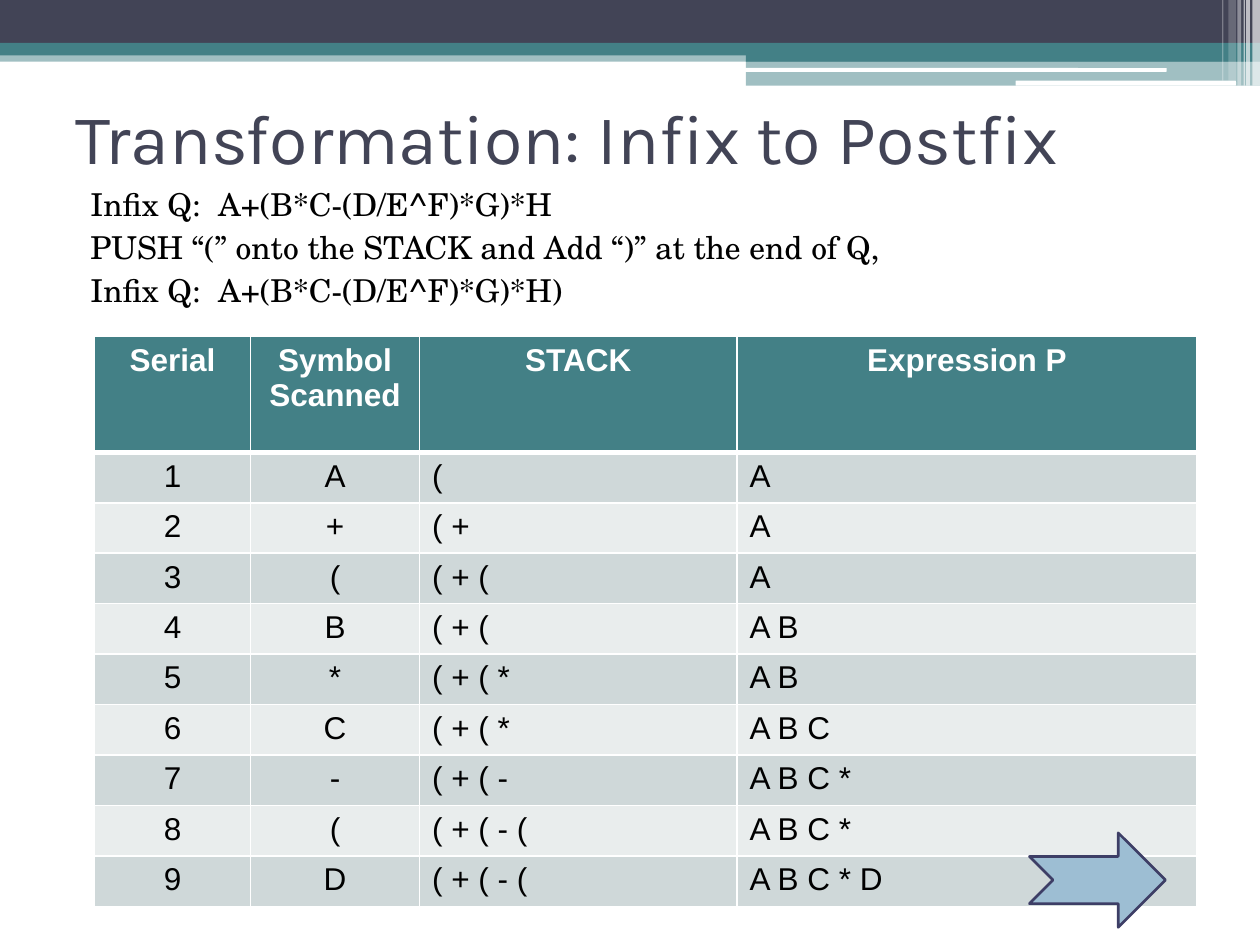
from dataclasses import dataclass

from lxml.etree import SubElement
from pptx import Presentation
from pptx.dml.color import RGBColor
from pptx.enum.shapes import MSO_SHAPE
from pptx.enum.text import MSO_ANCHOR, PP_ALIGN
from pptx.oxml.ns import qn
from pptx.util import Inches, Pt


@dataclass(frozen=True)
class Theme:
    """Colours, fonts and type sizes of the slide."""
    navy: str = "424456"
    teal: str = "438086"
    white: str = "FFFFFF"
    black: str = "000000"
    odd_row: str = "CFD8D9"
    even_row: str = "E9EDED"
    arrow_fill: str = "9DBED3"
    arrow_line: str = "3D3E66"
    title_font: str = "Karla"
    body_font: str = "TeX Gyre Schola"
    table_font: str = "Arial"
    title_size: int = 40
    text_size: int = 18


@dataclass(frozen=True)
class Box:
    """A region in inches."""
    left: float
    top: float
    width: float
    height: float

    def lengths(self):
        """Return the four lengths that python-pptx expects."""
        return [Inches(v) for v in (self.left, self.top, self.width, self.height)]

    def inner(self, left, top, width, height):
        """Return a box placed relative to this one."""
        return Box(self.left + left, self.top + top, width, height)


THEME = Theme()
BODY_LINES = [
    "Infix Q:  A+(B*C-(D/E^F)*G)*H",
    "PUSH “(” onto the STACK and Add “)” at the end of Q,",
    "Infix Q:  A+(B*C-(D/E^F)*G)*H)",
]
HEADINGS = ["Serial", "Symbol Scanned", "STACK", "Expression P"]
STEPS = [
    ("A", "(", "A"),
    ("+", "( +", "A"),
    ("(", "( + (", "A"),
    ("B", "( + (", "A B"),
    ("*", "( + ( *", "A B"),
    ("C", "( + ( *", "A B C"),
    ("-", "( + ( -", "A B C *"),
    ("(", "( + ( - (", "A B C *"),
    ("D", "( + ( - (", "A B C * D"),
]


def add_run(paragraph, text, font, size, color, bold=False):
    """Add one formatted run to a paragraph."""
    run = paragraph.add_run()
    run.text = text
    run.font.name = font
    run.font.size = Pt(size)
    run.font.bold = bold
    run.font.color.rgb = RGBColor.from_string(color)


def add_panel(slide, kind, box, color, opacity=100):
    """Add a borderless filled shape, see-through below 100 percent."""
    panel = slide.shapes.add_shape(kind, *box.lengths())
    panel.shadow.inherit = False
    panel.line.fill.background()
    panel.fill.solid()
    panel.fill.fore_color.rgb = RGBColor.from_string(color)
    if opacity < 100:
        swatch = panel.fill._xPr.find(qn("a:solidFill"))[0]
        SubElement(swatch, qn("a:alpha"), val=str(opacity * 1000))
    return panel


def add_banner(slide, box):
    """Draw the layered bands and stripes along the top edge."""
    step = 5.92
    bands = [
        (0, 0.4, box.width, 0.09, THEME.teal, 50),
        (0, 0, box.width, 0.34, THEME.navy, 100),
        (0, 0.34, box.width, 0.1, THEME.teal, 100),
        (step, 0.39, box.width - step, 0.1, THEME.teal, 100),
        (step, 0.48, box.width - step, 0.2, THEME.teal, 50),
    ]
    for *place, color, opacity in bands:
        add_panel(slide, MSO_SHAPE.RECTANGLE, box.inner(*place), color, opacity)
    for place in [(5.91, 0.54, 3.35, 0.03), (8.06, 0.64, 1.75, 0.04)]:
        rule = add_panel(slide, MSO_SHAPE.ROUNDED_RECTANGLE, box.inner(*place), THEME.white)
        rule.adjustments[0] = 0.17
    stripes = [
        (9.94, 0.06, 0.68, 65), (9.89, 0.03, 0.68, 65), (9.87, 0.01, 0.68, 60),
        (9.82, 0.03, 0.68, 40), (9.75, 0.06, 0.64, 20), (9.7, 0.01, 0.64, 30),
    ]
    for left, width, height, opacity in stripes:
        add_panel(slide, MSO_SHAPE.RECTANGLE, box.inner(left, 0, width, height),
                  THEME.white, opacity)


def add_title(slide, box):
    """Place the slide title."""
    frame = slide.shapes.add_textbox(*box.lengths()).text_frame
    frame.word_wrap = True
    frame.vertical_anchor = MSO_ANCHOR.MIDDLE
    add_run(frame.paragraphs[0], "Transformation: Infix to Postfix",
            THEME.title_font, THEME.title_size, THEME.navy)


def add_body(slide, box):
    """Place the expression lines with a hanging indent."""
    frame = slide.shapes.add_textbox(*box.lengths()).text_frame
    frame.word_wrap = True
    for number, line in enumerate(BODY_LINES):
        paragraph = frame.add_paragraph() if number else frame.paragraphs[0]
        paragraph.alignment = PP_ALIGN.JUSTIFY
        paragraph.space_before = Pt(3)
        properties = paragraph._p.get_or_add_pPr()
        properties.set("marL", str(Inches(0.4)))
        properties.set("indent", str(Inches(-0.28)))
        add_run(paragraph, line, THEME.body_font, THEME.text_size, THEME.black)


def set_borders(cell, widths):
    """Give a cell white borders, in points by side."""
    properties = cell._tc.get_or_add_tcPr()
    for side, width in widths.items():
        border = SubElement(properties, qn(f"a:ln{side}"), w=str(Pt(width)))
        fill = SubElement(border, qn("a:solidFill"))
        SubElement(fill, qn("a:srgbClr"), val=THEME.white)


def add_steps_table(slide, box):
    """Tabulate the stack and the expression after each symbol."""
    rows = [HEADINGS] + [(str(n), *step) for n, step in enumerate(STEPS, 1)]
    table = slide.shapes.add_table(len(rows), len(HEADINGS), *box.lengths()).table
    table.horz_banding = False
    for column, width in zip(table.columns, (1.24, 1.34, 2.52, 3.65)):
        column.width = Inches(width)
    for r, values in enumerate(rows):
        header = r == 0
        table.rows[r].height = Inches(0.92 if header else 0.37)
        row_fill = THEME.teal if header else THEME.odd_row if r % 2 else THEME.even_row
        for c, value in enumerate(values):
            cell = table.cell(r, c)
            set_borders(cell, {"L": 1, "R": 1, "T": 3 if r == 1 else 1,
                               "B": 3 if header else 1})
            cell.fill.solid()
            cell.fill.fore_color.rgb = RGBColor.from_string(row_fill)
            paragraph = cell.text_frame.paragraphs[0]
            paragraph.alignment = PP_ALIGN.CENTER if header or c < 2 else PP_ALIGN.LEFT
            add_run(paragraph, value, THEME.table_font, THEME.text_size,
                    THEME.white if header else THEME.black, header)


def add_next_arrow(slide, box):
    """Draw the notched arrow that points onward."""
    arrow = add_panel(slide, MSO_SHAPE.NOTCHED_RIGHT_ARROW, box, THEME.arrow_fill)
    arrow.line.color.rgb = RGBColor.from_string(THEME.arrow_line)
    arrow.line.width = Pt(1.5)


def main():
    """Build and save the slide."""
    deck = Presentation()
    deck.slide_width, deck.slide_height = Inches(10), Inches(7.5)
    slide = deck.slides.add_slide(deck.slide_layouts[6])
    add_banner(slide, Box(0, 0, 10, 0.68))
    add_title(slide, Box(0.5, 0.58, 9, 1))
    add_body(slide, Box(0.5, 1.42, 9.33, 5.92))
    add_steps_table(slide, Box(0.75, 2.67, 8.75, 4.25))
    add_next_arrow(slide, Box(8.17, 6.61, 1.08, 0.75))
    deck.save("out.pptx")


if __name__ == "__main__":
    main()
